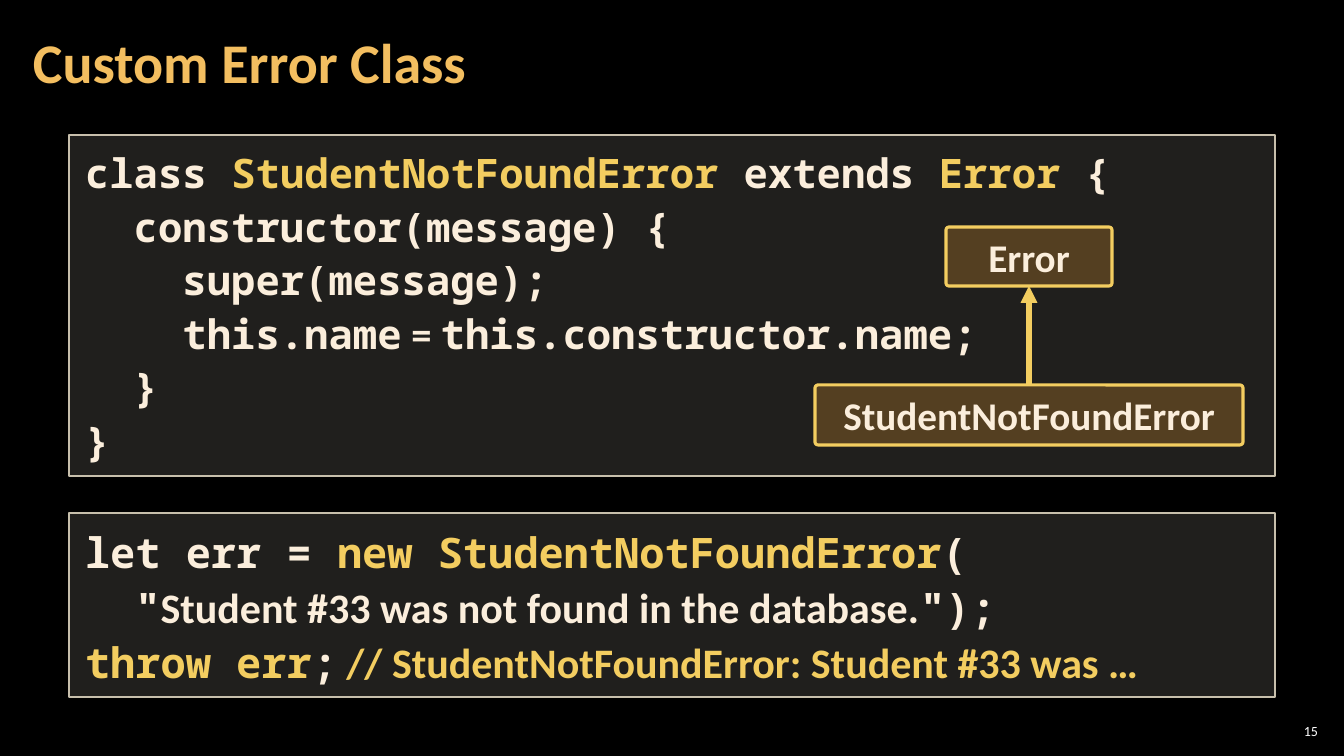
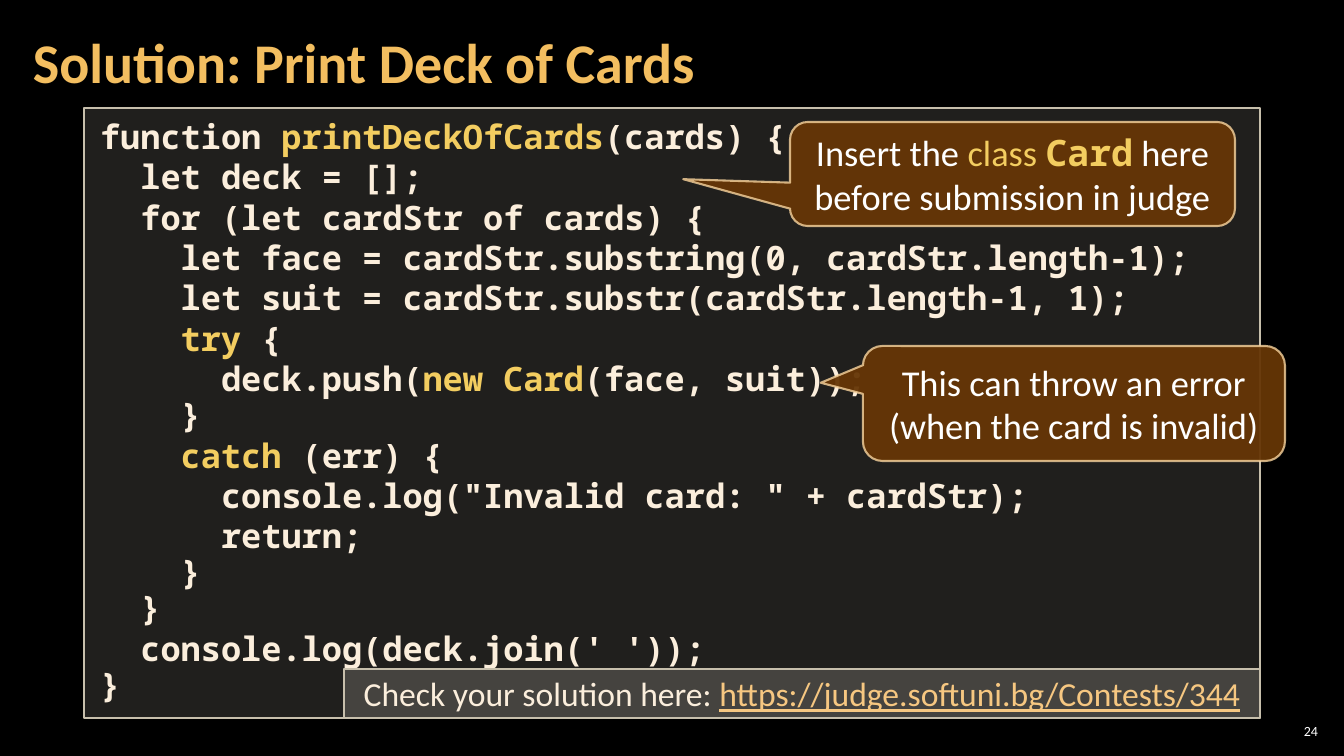
from lxml.etree import SubElement
from pptx import Presentation
from pptx.dml.color import RGBColor
from pptx.enum.shapes import MSO_CONNECTOR, MSO_SHAPE
from pptx.enum.text import MSO_ANCHOR, PP_ALIGN
from pptx.oxml.ns import qn
from pptx.util import Emu, Pt

SLIDE_W, SLIDE_H = 1344, 756
EMU_PER_PX = 12192000 / SLIDE_W

SANS, MONO = "Calibri", "Noto Sans Mono"
BLACK, WHITE = "000000", "FFFFFF"
TITLE, CREAM, YELLOW = "F3BE60", "FBEEDC", "F3CD60"
PANEL, PANEL_LINE = "D9D5C7", "C7BFAC"
LABEL, CALLOUT, CALLOUT_LINE, LINK = "F0A22E", "663606", "F8D49E", "F6C781"

HOT = {"color": YELLOW}
PLAIN = {"font": SANS}

ERROR_CLASS = [
    ["class ", ("StudentNotFoundError", HOT), " extends ", ("Error", HOT), " {"],
    ["  constructor(message) {"],
    ["    super(message);"],
    ["    this.name", (" = ", PLAIN), "this.constructor.name;"],
    ["  }"],
    ["}"],
]
ERROR_USE = [
    ["let err = ", ("new StudentNotFoundError", HOT), "("],
    ['  "', ("Student #33 was not found in the database.", PLAIN), '");'],
    [("throw err", HOT), ";", (" ", PLAIN),
     ("// StudentNotFoundError: Student #33 was …", HOT | PLAIN)],
]
PRINT_DECK = [
    ["function ", ("printDeckOfCards", HOT), "(cards) {"],
    ["  let deck = [];"],
    ["  for (let cardStr of cards) {"],
    ["    let face = cardStr.substring(0, cardStr.length-1);"],
    ["    let suit = cardStr.substr(cardStr.length-1, 1);"],
    ["    ", ("try", HOT), " {"],
    ["      deck.push(", ("new Card", HOT), "(face, suit));"],
    ["    }"],
    ["    ", ("catch", HOT), " (err) {"],
    ['      console.log("Invalid card: " + cardStr);'],
    ["      return;"],
    ["    }"],
    ["  }"],
    ["  console.log(deck.join(' '));"],
    ["}"],
]


def px(n):
    return Emu(round(n * EMU_PER_PX))


def rgb(color):
    return RGBColor.from_string(color)


def add_runs(p, parts, size, color, font=SANS, bold=False):
    """Add parts to p; a part is a string or (string, style overrides)."""
    base = {"color": color, "font": font, "bold": bold, "underline": False}
    for part in parts:
        text, changes = (part, {}) if isinstance(part, str) else part
        style = base | changes
        r = p.add_run()
        r.text = text
        r.font.size = Pt(size)
        r.font.name = style["font"]
        r.font.bold = style["bold"]
        r.font.underline = style["underline"]
        r.font.color.rgb = rgb(style["color"])


def set_frame(tf, anchor, side=10, top=5):
    tf.word_wrap = True
    tf.vertical_anchor = anchor
    tf.margin_left = tf.margin_right = px(side)
    tf.margin_top = tf.margin_bottom = px(top)


def set_alpha(parent, percent):
    color = parent.find(qn("a:solidFill")).find(qn("a:srgbClr"))
    SubElement(color, qn("a:alpha"), val=str(percent * 1000))


def add_box(s, kind, box, fill, alpha, line, width, line_alpha=100):
    sp = s.shapes.add_shape(kind, *map(px, box))
    sp.shadow.inherit = False
    sp.fill.solid()
    sp.fill.fore_color.rgb = rgb(fill)
    sp.line.color.rgb = rgb(line)
    sp.line.width = Pt(width)
    set_alpha(sp.element.spPr, alpha)
    if line_alpha < 100:
        set_alpha(sp.element.spPr.find(qn("a:ln")), line_alpha)
    return sp


def add_centred(sp, parts, size, color, bold=False, side=10, top=5):
    set_frame(sp.text_frame, MSO_ANCHOR.MIDDLE, side, top)
    p = sp.text_frame.paragraphs[0]
    p.alignment = PP_ALIGN.CENTER
    add_runs(p, parts, size, color, bold=bold)


def add_code(s, box, lines, size, spacing, brace_spacing):
    """Add a code panel; lines with only a closing brace get brace_spacing."""
    sp = add_box(s, MSO_SHAPE.RECTANGLE, box, PANEL, 15, PANEL_LINE, 1)
    tf = sp.text_frame
    set_frame(tf, MSO_ANCHOR.TOP, 16, 8)
    for i, parts in enumerate(lines):
        p = tf.add_paragraph() if i else tf.paragraphs[0]
        p.alignment = PP_ALIGN.LEFT
        is_brace = len(parts) == 1 and parts[0].strip() == "}"
        p.line_spacing = brace_spacing if is_brace else spacing
        add_runs(p, parts, size, CREAM, MONO, bold=True)


def add_class_label(s, box, name):
    sp = add_box(s, MSO_SHAPE.ROUNDED_RECTANGLE, box, LABEL, 25, YELLOW, 2.25)
    sp.adjustments[0] = 0.05
    add_centred(sp, [name], 28, CREAM, bold=True)


def add_arrow(s, x1, y1, x2, y2):
    line = s.shapes.add_connector(MSO_CONNECTOR.STRAIGHT, *map(px, (x1, y1, x2, y2)))
    line.line.color.rgb = rgb(YELLOW)
    line.line.width = Pt(4)
    spPr = line.element.spPr
    SubElement(spPr.find(qn("a:ln")), qn("a:tailEnd"), type="triangle")
    SubElement(spPr, qn("a:effectLst"))


def add_callout(s, box, tip, parts):
    """Add a callout; tip is its point, relative to the centre in box sizes."""
    sp = add_box(s, MSO_SHAPE.ROUNDED_RECTANGULAR_CALLOUT, box,
                 CALLOUT, 95, CALLOUT_LINE, 1.5, 80)
    sp.adjustments[0], sp.adjustments[1] = tip
    sp.adjustments[2] = 0.17
    add_centred(sp, parts, 26, WHITE)


def style_layout(layout):
    layout.background.fill.solid()
    layout.background.fill.fore_color.rgb = rgb(BLACK)
    title = layout.placeholders[0]
    title.left, title.top, title.width, title.height = map(px, (21, 4, 1055, 122))


def add_slide(prs, layout, title, number):
    s = prs.slides.add_slide(layout)
    tf = s.shapes.title.text_frame
    set_frame(tf, MSO_ANCHOR.MIDDLE, 12, 4)
    p = tf.paragraphs[0]
    p.alignment = PP_ALIGN.LEFT
    p.line_spacing = 0.9
    add_runs(p, [title], 40, TITLE, bold=True)

    tf = s.shapes.add_textbox(*map(px, (1275, 720, 47, 21))).text_frame
    set_frame(tf, MSO_ANCHOR.MIDDLE, 4, 4)
    p = tf.paragraphs[0]
    p.alignment = PP_ALIGN.RIGHT
    add_runs(p, [str(number)], 10, WHITE)
    return s


def build_error_class(prs, layout):
    s = add_slide(prs, layout, "Custom Error Class", 15)
    add_code(s, (69, 135, 1206, 341), ERROR_CLASS, 29, 1.1, 1.1)
    add_code(s, (69, 513, 1206, 184), ERROR_USE, 30, 1.1, 1.1)
    add_class_label(s, (946, 227, 166, 59), "Error")
    add_class_label(s, (815, 385, 428, 60), "StudentNotFoundError")
    add_arrow(s, 1029, 385, 1029, 286)


def build_print_deck(prs, layout):
    s = add_slide(prs, layout, "Solution: Print Deck of Cards", 24)
    add_code(s, (84, 108, 1176, 610), PRINT_DECK, 24, 1.0, 0.9)
    add_callout(s, (863, 346, 422, 115), (-0.6, -0.18),
                ["This can throw an error (when the card is invalid)"])
    check = add_box(s, MSO_SHAPE.RECTANGLE, (344, 669, 916, 49),
                    PANEL, 20, PANEL_LINE, 1)
    add_centred(check, ["Check your solution here: ",
                        ("https://judge.softuni.bg/Contests/344",
                         {"color": LINK, "underline": True})],
                24, CREAM, side=16, top=4)
    add_callout(s, (790, 122, 445, 104), (-0.74, 0.05),
                ["Insert the ", ("class ", HOT),
                 ("Card", HOT | {"font": MONO, "bold": True}),
                 " here before submission in judge"])


def main():
    prs = Presentation()
    prs.slide_width, prs.slide_height = px(SLIDE_W), px(SLIDE_H)
    layout = prs.slide_layouts.get_by_name("Title Only")
    style_layout(layout)
    build_error_class(prs, layout)
    build_print_deck(prs, layout)
    prs.save("out.pptx")


if __name__ == "__main__":
    main()
